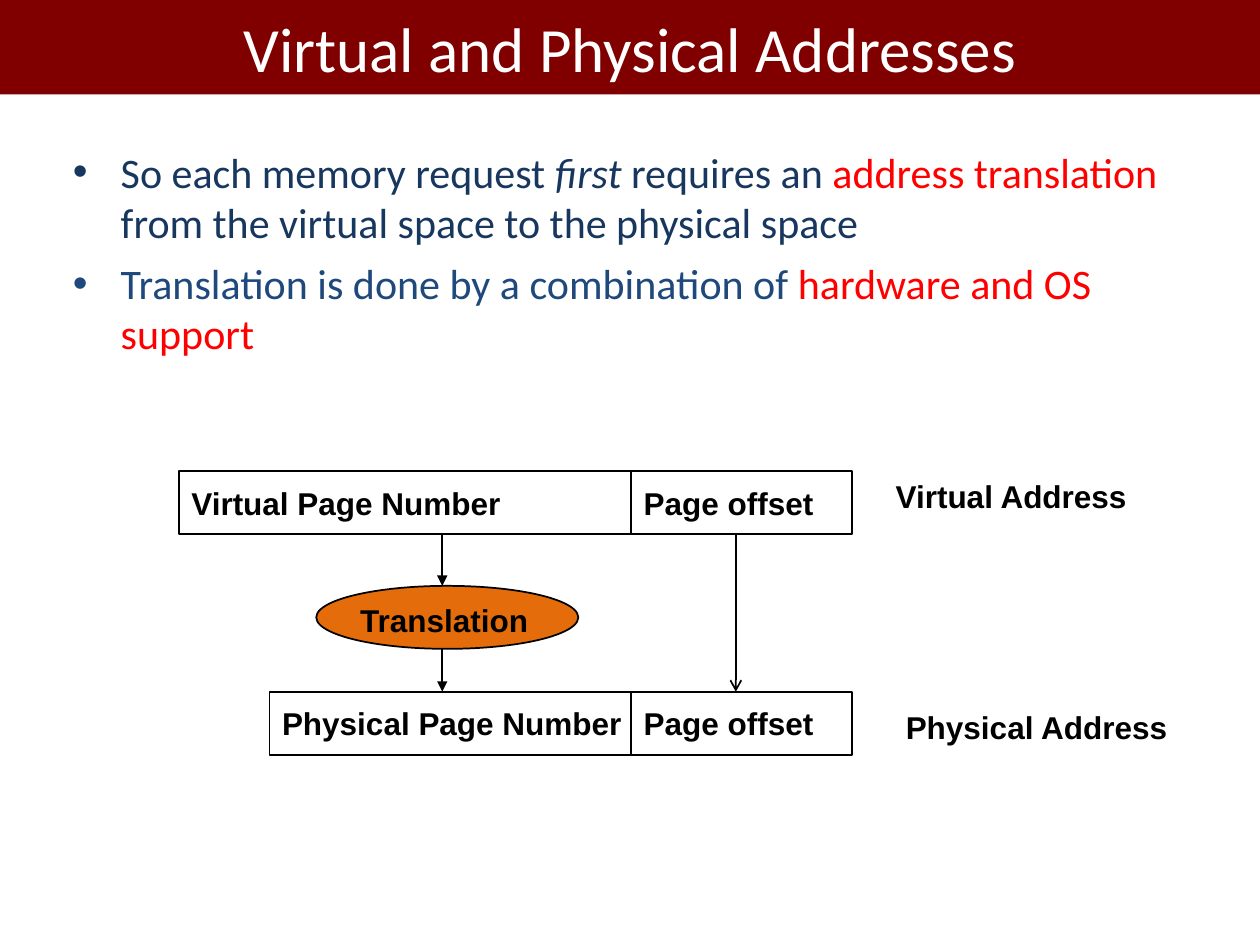
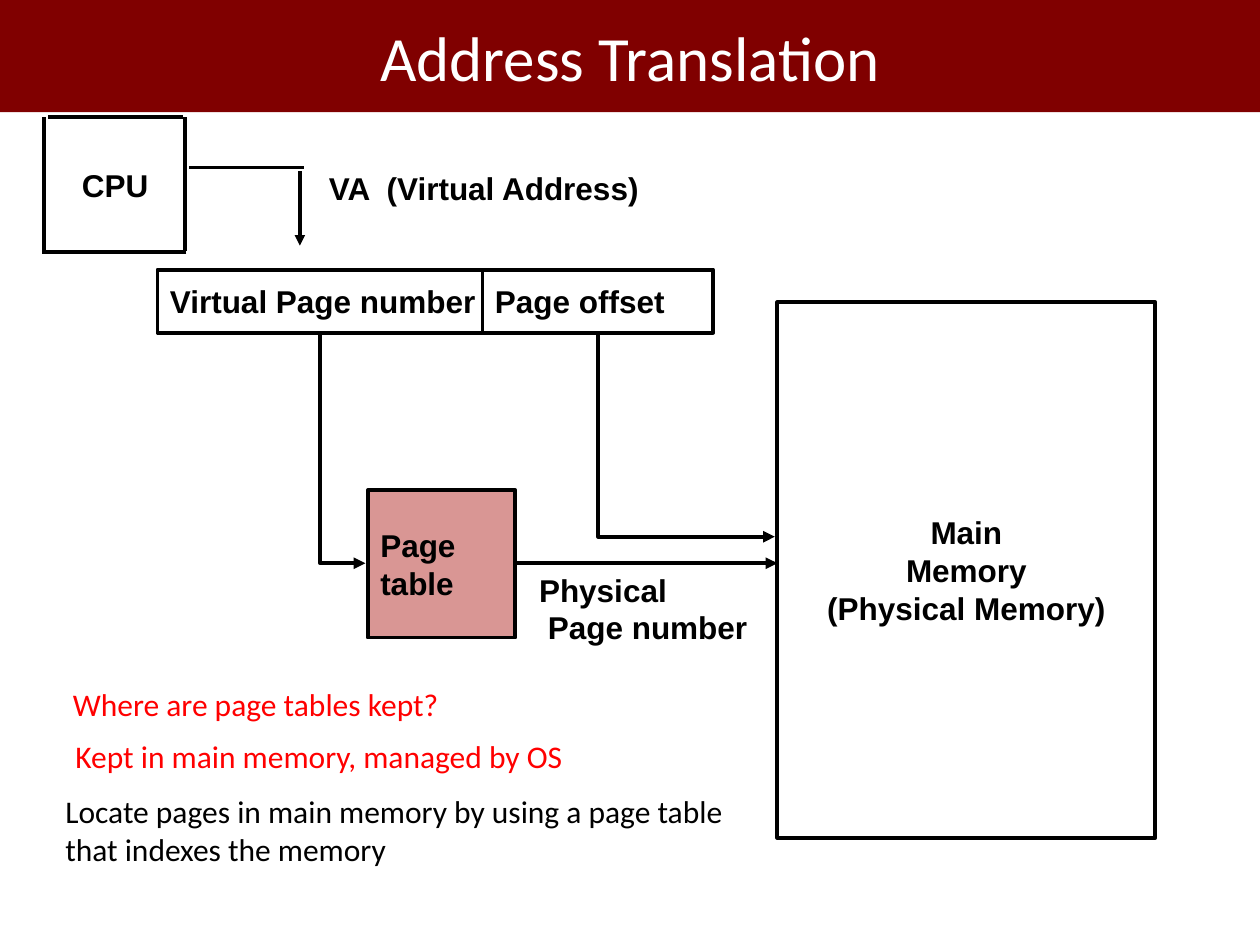
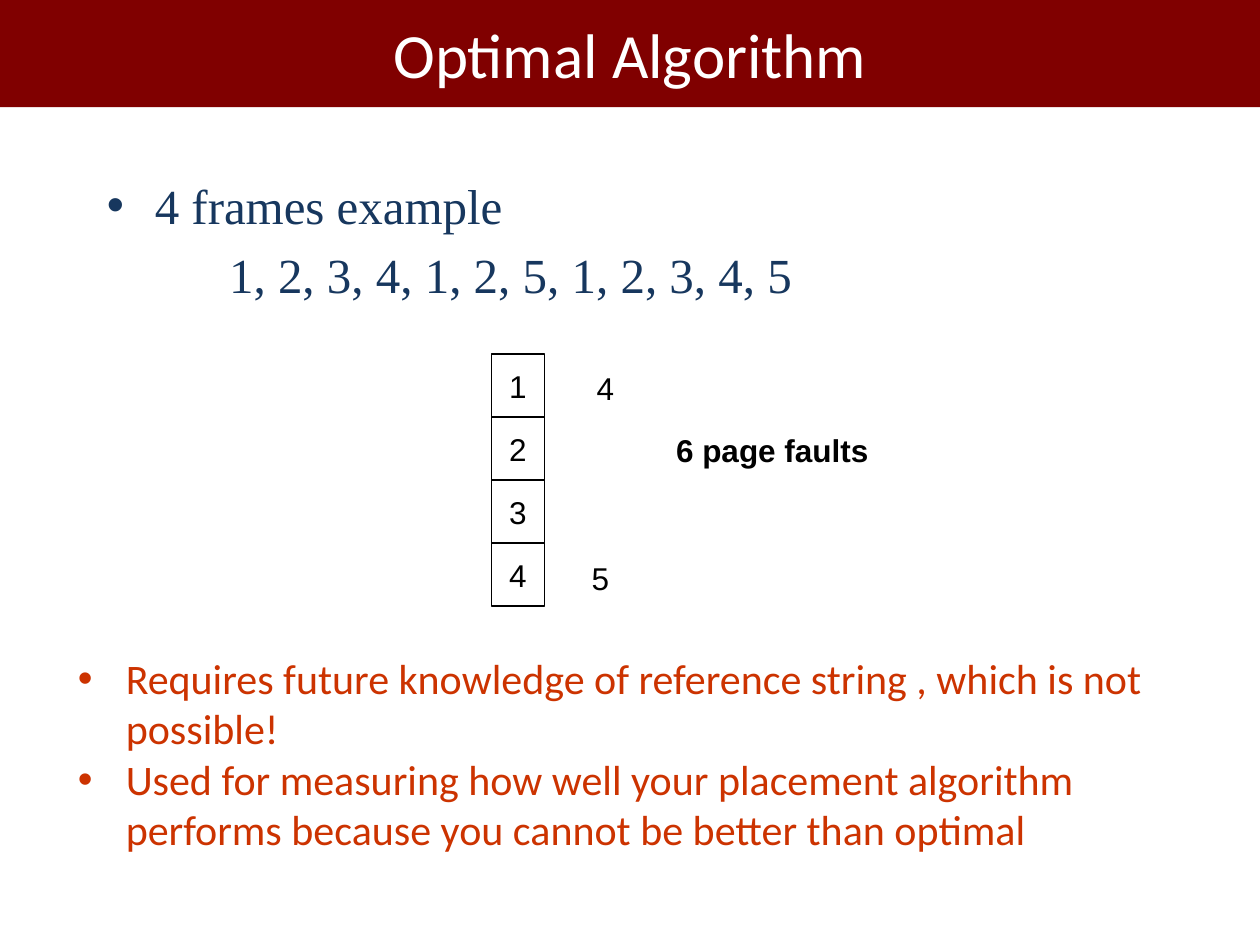
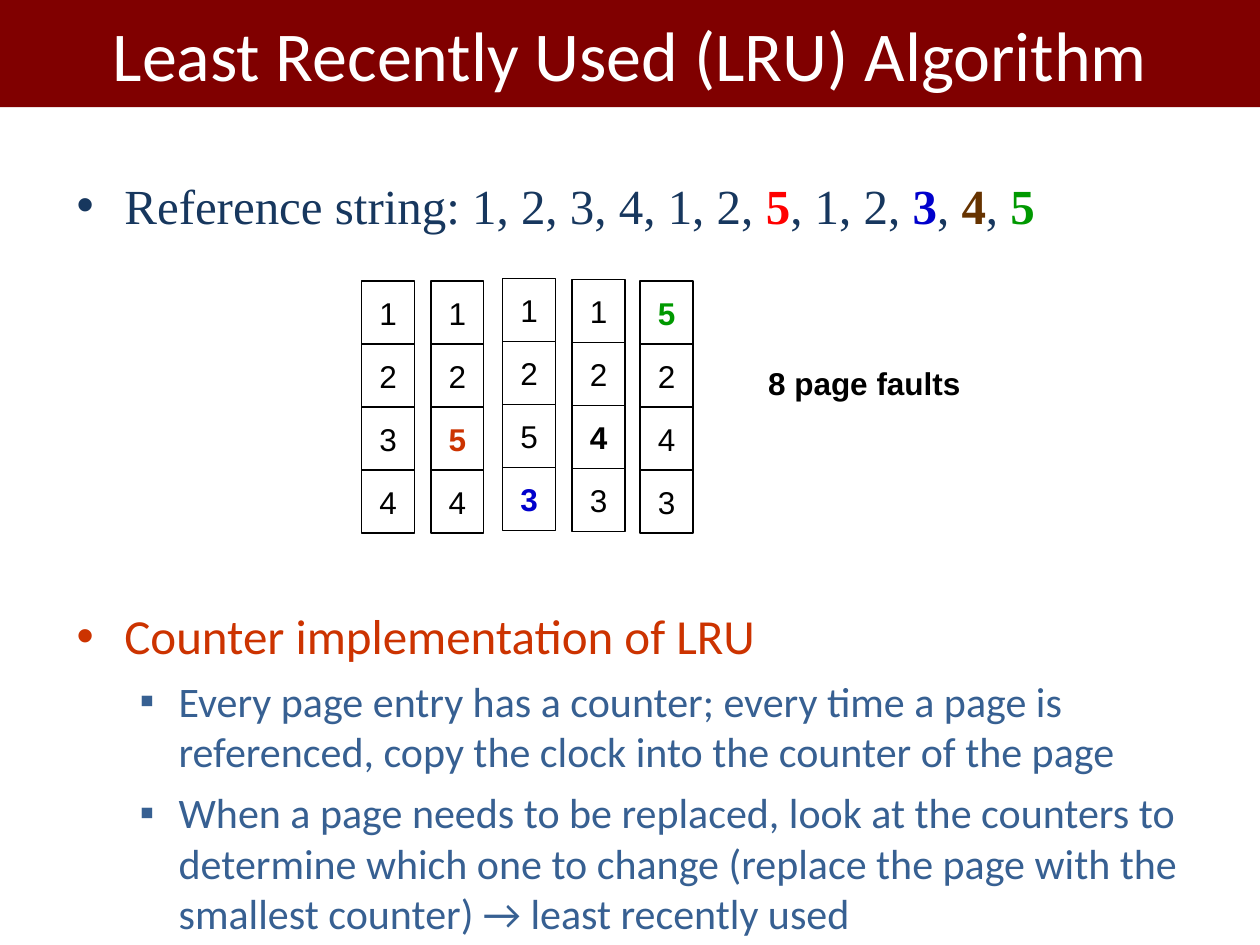
from lxml import etree
from pptx import Presentation
from pptx.dml.color import RGBColor
from pptx.enum.shapes import MSO_CONNECTOR as CONN, MSO_SHAPE as SHAPE
from pptx.enum.text import MSO_ANCHOR as ANCHOR, PP_ALIGN as ALIGN
from pptx.oxml.ns import qn
from pptx.util import Inches, Pt

COLORS = {
    "band": "800000", "white": "FFFFFF", "black": "000000",
    "navy": "17375E", "blue": "1F497D", "steel": "376092",
    "red": "FF0000", "rust": "CC3300", "deep_blue": "0000CC",
    "brown": "663300", "green": "009900",
    "orange": "E46C0A", "pink": "D99694",
}
LABEL = {"name": "Arial", "size": 18, "bold": True, "color": "black"}
DIGIT = {**LABEL, "bold": False}
NOTE = {"name": "Calibri", "size": 18, "color": "red"}
BODY = {"name": "Calibri", "size": 24, "color": "navy"}
SERIF = {"name": "Times New Roman", "size": 28, "color": "navy"}
CELL_W, CELL_H = 0.42, 0.5


def rgb(name):
    return RGBColor.from_string(COLORS[name])


def set_font(font, fmt):
    for key, value in fmt.items():
        if key == "color":
            font.color.rgb = rgb(value)
        else:
            setattr(font, key, Pt(value) if key == "size" else value)


def write(tf, paras, fmt, align=ALIGN.LEFT):
    """Fill a frame; a paragraph is a string or a list of (text, changes) runs."""
    for i, runs in enumerate(paras):
        p = tf.paragraphs[0] if i == 0 else tf.add_paragraph()
        p.alignment = align
        for text, changes in [(runs, {})] if isinstance(runs, str) else runs:
            r = p.add_run()
            r.text = text
            set_font(r.font, {**fmt, **changes})


def indent(p, left, hang=0, bullet=None):
    pPr = p._p.get_or_add_pPr()
    pPr.set("marL", str(Inches(left)))
    pPr.set("indent", str(Inches(-hang)))
    if bullet:
        etree.SubElement(pPr, qn("a:buFont")).set("typeface", "Arial")
        etree.SubElement(pPr, qn("a:buChar")).set("char", bullet)
    else:
        etree.SubElement(pPr, qn("a:buNone"))


def title_slide(prs, text, height, size=36):
    s = prs.slides.add_slide(prs.slide_layouts[5])
    band = s.shapes.title
    band.left, band.top = 0, 0
    band.width, band.height = prs.slide_width, Inches(height)
    band.fill.solid()
    band.fill.fore_color.rgb = rgb("band")
    band.text_frame.vertical_anchor = ANCHOR.MIDDLE
    write(band.text_frame, [text],
          {"name": "Calibri", "size": size, "color": "white"}, ALIGN.CENTER)
    return s


def add_box(s, x, y, w, h, paras=(), fmt=LABEL, fill="white", line=1,
            align=ALIGN.LEFT, kind=SHAPE.RECTANGLE):
    sp = s.shapes.add_shape(kind, *map(Inches, (x, y, w, h)))
    sp.shadow.inherit = False
    sp.fill.solid()
    sp.fill.fore_color.rgb = rgb(fill)
    sp.line.color.rgb = rgb("black")
    sp.line.width = Pt(line)
    tf = sp.text_frame
    tf.word_wrap = False
    tf.vertical_anchor = ANCHOR.MIDDLE
    write(tf, paras, fmt, align)
    return sp


def add_text(s, x, y, w, h, paras, fmt=LABEL, wrap=False, align=ALIGN.LEFT):
    tf = s.shapes.add_textbox(*map(Inches, (x, y, w, h))).text_frame
    tf.word_wrap = wrap
    write(tf, paras, fmt, align)
    return tf


def add_tight_label(s, x, y, w, text):
    tf = add_text(s, x, y, w, 0.31, [text])
    tf.margin_left = tf.margin_right = Inches(0.07)
    tf.margin_top = tf.margin_bottom = Inches(0.03)
    tf.paragraphs[0].line_spacing = 0.85


def add_bullets(s, x, y, w, h, paras, fmt, gap=6):
    tf = add_text(s, x, y, w, h, paras, fmt, wrap=True)
    for i, p in enumerate(tf.paragraphs):
        indent(p, 0.38, 0.38, "•")
        if i:
            p.space_before = Pt(gap)
    return tf


def add_line(s, start, end, width=1, head=None):
    c = s.shapes.add_connector(CONN.STRAIGHT, *map(Inches, (*start, *end)))
    c.line.color.rgb = rgb("black")
    c.line.width = Pt(width)
    if head:
        etree.SubElement(c.line._get_or_add_ln(), qn("a:tailEnd")).set("type", head)
    etree.SubElement(c._element.spPr, qn("a:effectLst"))
    return c


def add_elbow(s, start, end, width):
    """Arrow that runs down from start, then right to end."""
    c = add_line(s, start, end, width, "triangle")
    (x1, y1), (x2, y2) = start, end
    w, h = y2 - y1, x2 - x1
    c.left, c.top = Inches((x1 + x2 - w) / 2), Inches((y1 + y2 - h) / 2)
    c.width, c.height = Inches(w), Inches(h)
    spPr = c._element.spPr
    xfrm = spPr.find(qn("a:xfrm"))
    xfrm.set("rot", str(270 * 60000))
    xfrm.set("flipH", "1")
    spPr.find(qn("a:prstGeom")).set("prst", "bentConnector2")


def add_frames(s, x, y, pages, changed=None, color="black"):
    """Column of page frames; the changed row is bold and coloured."""
    for row, page in enumerate(pages):
        fmt = {**LABEL, "color": color} if row == changed else DIGIT
        add_box(s, x, y + row * CELL_H, CELL_W, CELL_H, [page], fmt,
                line=0.75, align=ALIGN.CENTER)


def addresses_slide(prs):
    s = title_slide(prs, "Virtual and Physical Addresses", 0.75)
    split, row_h = 5.01, 0.5
    for y, x, name in [(3.74, 1.42, "Virtual"), (5.49, 2.14, "Physical")]:
        add_box(s, x, y, split - x, row_h, [f"{name} Page Number"])
        add_box(s, split, y, 1.75, row_h, ["Page offset"])
    add_box(s, 2.51, 4.65, 2.08, row_h, fill="orange", kind=SHAPE.OVAL)
    add_line(s, (5.84, 4.24), (5.84, 5.49), head="arrow")
    for top, bottom in [(4.24, 4.65), (5.15, 5.49)]:
        add_line(s, (3.51, top), (3.51, bottom), head="triangle")
    add_text(s, 2.76, 4.72, 1.55, 0.4, ["Translation"])
    add_text(s, 7.01, 3.74, 2.05, 0.4, ["Virtual Address"])
    add_text(s, 7.09, 5.57, 2.28, 0.4, ["Physical Address"])
    add_bullets(s, 0.48, 1.11, 8.92, 1.62, [
        [("So each memory request ", {}), ("first", {"italic": True}),
         (" requires an ", {}), ("address translation ", {"color": "red"}),
         ("from the virtual space to the physical space", {})],
        [("Translation is done by a combination of ", {"color": "blue"}),
         ("hardware and OS support", {"color": "red"})],
    ], BODY)


def translation_slide(prs):
    s = title_slide(prs, "Address Translation", 0.89)
    thick, thin = 2.25, 2
    add_box(s, 1.25, 2.14, 2.58, 0.5, ["Virtual Page number"], line=thick)
    add_box(s, 3.83, 2.14, 1.83, 0.5, ["Page offset"], line=thick)
    add_box(s, 2.92, 3.89, 1.17, 1.17, ["Page", "table"], fill="pink", line=thick)
    add_box(s, 6.17, 2.4, 3, 4.25, ["Main", "Memory", "(Physical Memory)"],
            line=thick, align=ALIGN.CENTER)
    add_elbow(s, (4.75, 2.65), (6.15, 4.26), thick)
    add_elbow(s, (2.54, 2.65), (2.9, 4.47), thick)
    add_line(s, (4.08, 4.47), (6.17, 4.47), thick, "triangle")

    for start, end in [((0.38, 0.93), (1.45, 0.93)), ((1.47, 0.93), (1.47, 1.99)),
                       ((1.48, 2), (0.33, 2)), ((0.35, 0.93), (0.35, 1.99)),
                       ((2.41, 1.33), (1.5, 1.33))]:
        add_line(s, start, end, thin)
    add_line(s, (2.38, 1.36), (2.38, 1.95), thin, "triangle")
    add_tight_label(s, 0.58, 1.33, 0.67, "CPU")
    add_tight_label(s, 2.54, 1.36, 0.49, "VA")
    add_text(s, 2.97, 1.29, 2.22, 0.4, ["(Virtual Address)"])

    tf = add_text(s, 4.18, 4.48, 1.87, 0.71, ["Physical", "Page number"])
    indent(tf.paragraphs[1], 0.07)
    add_text(s, 0.48, 5.39, 3.15, 0.4, ["Where are page tables kept?"], NOTE)
    add_text(s, 0.5, 5.8, 4.13, 0.4, ["Kept in main memory, managed by OS"], NOTE)
    add_text(s, 0.42, 6.24, 5.49, 0.71,
             ["Locate pages in main memory by using a page table",
              "that indexes the memory"], {**NOTE, "color": "black"})


def optimal_slide(prs):
    s = title_slide(prs, "Optimal Algorithm", 0.85)
    tf = add_text(s, 0.75, 1.34, 8.98, 1.2,
                  ["4 frames example", "1, 2, 3, 4, 1, 2, 5, 1, 2, 3, 4, 5"],
                  SERIF, wrap=True)
    indent(tf.paragraphs[0], 0.38, 0.38, "•")
    indent(tf.paragraphs[1], 0.97)
    tf.paragraphs[1].space_before = Pt(6)
    add_frames(s, 3.9, 2.81, "1234")
    for x, y, page in [(4.44, 2.88, "4"), (4.4, 4.39, "5")]:
        add_text(s, x, y, 0.73, 0.4, [page], DIGIT, wrap=True, align=ALIGN.CENTER)
    add_text(s, 5.26, 3.37, 1.74, 0.4, ["6 page faults"], align=ALIGN.CENTER)
    add_bullets(s, 0.52, 5.13, 9.03, 1.72, [
        "Requires future knowledge of reference string , which is not possible!",
        "Used for measuring how well your placement algorithm performs "
        "because you cannot be better than optimal",
    ], {**BODY, "color": "rust"}, gap=0)


def lru_slide(prs):
    s = title_slide(prs, "Least Recently Used (LRU) Algorithm", 0.85, size=40)
    strong = {c: {"color": c, "bold": True}
              for c in ("red", "deep_blue", "brown", "green")}
    add_bullets(s, 0.51, 1.34, 9.13, 0.6, [[
        ("Reference string: 1, 2, 3, 4, 1, 2, ", {}), ("5", strong["red"]),
        (", 1, 2, ", {}), ("3", strong["deep_blue"]), (", ", {}),
        ("4", strong["brown"]), (", ", {}), ("5", strong["green"]),
    ]], SERIF)

    for x, y, *frames in [(2.87, 2.23, "1234"),
                          (3.42, 2.23, "1254", 2, "rust"),
                          (3.99, 2.21, "1253", 3, "deep_blue"),
                          (4.54, 2.22, "1243", 2),
                          (5.08, 2.23, "5243", 0, "green")]:
        add_frames(s, x, y, *frames)
    add_text(s, 5.99, 2.84, 1.74, 0.4, ["8 page faults"], align=ALIGN.CENTER)

    tf = add_text(s, 0.51, 4.76, 9.13, 2.65, [
        [("Counter implementation of LRU", {"size": 28, "color": "rust"})],
        "Every page entry has a counter; every time a page is referenced, "
        "copy the clock into the counter of the page",
        "When a page needs to be replaced, look at the counters to determine "
        "which one to change (replace the page with the smallest counter) "
        "→ least recently used",
    ], {**BODY, "color": "steel"}, wrap=True)
    heading, *points = tf.paragraphs
    indent(heading, 0.38, 0.38, "•")
    for p in points:
        p.level = 1
        indent(p, 0.81, 0.31, "▪")
        p.space_before = Pt(6)


def main():
    prs = Presentation()
    prs.slide_width, prs.slide_height = Inches(10), Inches(7.5)
    for build in (addresses_slide, translation_slide, optimal_slide, lru_slide):
        build(prs)
    prs.save("out.pptx")


if __name__ == "__main__":
    main()
